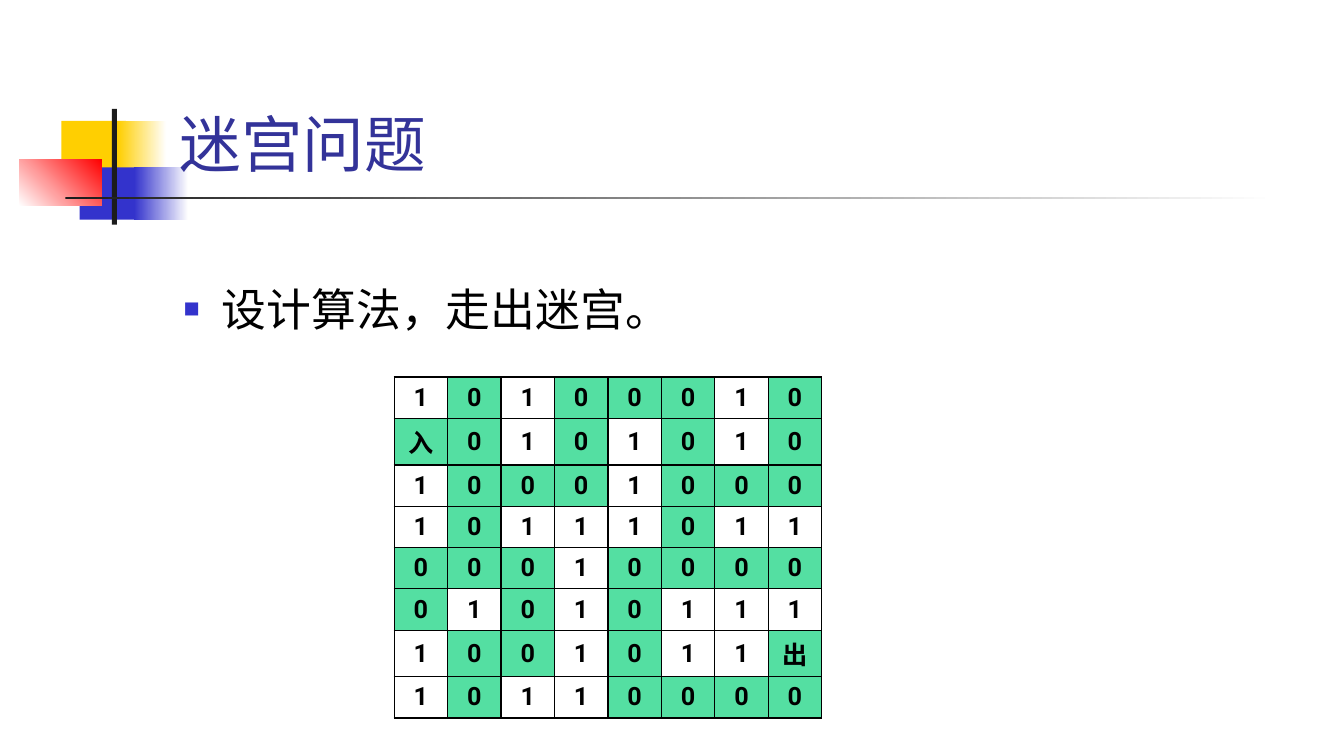
import dataclasses

import lxml.etree
import pptx
import pptx.dml.color
import pptx.enum.shapes
import pptx.enum.text
import pptx.oxml.ns
import pptx.util

Inches = pptx.util.Inches
Pt = pptx.util.Pt


@dataclasses.dataclass(frozen=True)
class Theme:
    yellow: str = "FFCF01"
    blue: str = "3333CC"
    red: str = "FF0000"
    white: str = "FFFFFF"
    dark: str = "1C1C1C"
    title: str = "333399"
    text: str = "000000"
    passage: str = "54DFA2"
    heading_font: str = "Roboto"
    body_font: str = "Courier New"
    title_size: int = 44
    body_size: int = 32
    cell_size: int = 18


THEME = Theme()

# Left, top, width, height, start colour, end colour, gradient angle
DECORATIONS = [
    (0.61, 1.2, 0.64, 0.52, THEME.yellow, None, 0),
    (1.17, 1.2, 0.48, 0.52, THEME.yellow, THEME.white, 0),
    (0.79, 1.66, 0.62, 0.52, THEME.blue, None, 0),
    (1.33, 1.66, 0.54, 0.52, THEME.blue, THEME.white, 0),
    (0.19, 1.58, 0.82, 0.46, THEME.white, THEME.red, 45),
    (1.11, 1.08, 0.05, 1.15, THEME.dark, None, 0),
    (0.65, 1.95, 12, 0.03, THEME.dark, THEME.white, 0),
]

# 1 is a wall; every other cell is open
MAZE = [
    "10100010",
    "入0101010",
    "10001000",
    "10111011",
    "00010000",
    "01010111",
    "1001011出",
    "10110000",
]
WALL = "1"


def rgb(value):
    return pptx.dml.color.RGBColor.from_string(value)


def add_xml(parent, tag, **attributes):
    return lxml.etree.SubElement(parent, pptx.oxml.ns.qn(tag), attributes)


def style_text(paragraph, font_name, size, color, bold=False):
    for span in paragraph.runs:
        span.font.name = font_name
        span.font.size = Pt(size)
        span.font.color.rgb = rgb(color)
        span.font.bold = bold


def add_block(slide, left, top, width, height, start, end, angle):
    block = slide.shapes.add_shape(
        pptx.enum.shapes.MSO_SHAPE.RECTANGLE,
        Inches(left), Inches(top), Inches(width), Inches(height))
    block.shadow.inherit = False
    block.line.fill.background()
    if end is None:
        block.fill.solid()
        block.fill.fore_color.rgb = rgb(start)
        return
    block.fill.gradient()
    block.fill.gradient_angle = angle
    for stop, color in zip(block.fill.gradient_stops, (start, end)):
        stop.color.rgb = rgb(color)


def fill_placeholder(slide, box, text, left, top, width, height, anchor):
    box.left, box.top = Inches(left), Inches(top)
    box.width, box.height = Inches(width), Inches(height)
    frame = box.text_frame
    frame.text = text
    frame.word_wrap = True
    frame.auto_size = pptx.enum.text.MSO_AUTO_SIZE.NONE
    frame.vertical_anchor = anchor
    # Bring the text in front of the decoration
    slide.shapes._spTree.append(box._element)
    para = frame.paragraphs[0]
    para.alignment = pptx.enum.text.PP_ALIGN.LEFT
    return para


def add_bullet(para):
    para.line_spacing = 2.0
    para.space_before = Pt(0.2 * THEME.body_size)
    properties = para._p.get_or_add_pPr()
    properties.set("marL", str(Inches(0.38)))
    properties.set("indent", str(Inches(-0.38)))
    color = add_xml(properties, "a:buClr")
    add_xml(color, "a:srgbClr", val=THEME.blue)
    add_xml(properties, "a:buSzPct", val="60000")
    add_xml(properties, "a:buChar", char="■")


def add_borders(cell):
    properties = cell._tc.get_or_add_tcPr()
    for side in ("a:lnL", "a:lnR", "a:lnT", "a:lnB"):
        line = add_xml(properties, side, w=str(Pt(1)))
        fill = add_xml(line, "a:solidFill")
        add_xml(fill, "a:srgbClr", val=THEME.text)


def style_cell(cell, mark):
    cell.text = mark
    cell.vertical_anchor = pptx.enum.text.MSO_ANCHOR.MIDDLE
    para = cell.text_frame.paragraphs[0]
    para.alignment = pptx.enum.text.PP_ALIGN.CENTER
    style_text(para, THEME.heading_font, THEME.cell_size, THEME.text, bold=True)
    add_borders(cell)
    if mark == WALL:
        cell.fill.background()
    else:
        cell.fill.solid()
        cell.fill.fore_color.rgb = rgb(THEME.passage)


def add_maze(slide, left, top, column_width, row_height):
    rows, columns = len(MAZE), len(MAZE[0])
    table = slide.shapes.add_table(
        rows, columns, Inches(left), Inches(top),
        Inches(columns * column_width), Inches(rows * row_height)).table
    table.first_row = False
    table.horz_banding = False
    for row, marks in enumerate(MAZE):
        for column, mark in enumerate(marks):
            style_cell(table.cell(row, column), mark)


def main():
    deck = pptx.Presentation()
    deck.slide_width, deck.slide_height = Inches(13.33), Inches(7.5)
    slide = deck.slides.add_slide(deck.slide_layouts[1])

    # Coloured blocks and rules around the title
    for decoration in DECORATIONS:
        add_block(slide, *decoration)

    # Title and task
    title = fill_placeholder(slide, slide.shapes.title, "迷宫问题",
                             1.68, 0.23, 10.42, 1.6,
                             pptx.enum.text.MSO_ANCHOR.BOTTOM)
    style_text(title, THEME.heading_font, THEME.title_size, THEME.title)
    task = fill_placeholder(slide, slide.placeholders[1], "设计算法，走出迷宫。",
                            1.72, 2.21, 10.38, 4.5,
                            pptx.enum.text.MSO_ANCHOR.TOP)
    style_text(task, THEME.body_font, THEME.body_size, THEME.text)
    add_bullet(task)

    # Maze grid
    add_maze(slide, 3.91, 3.74, 0.53, 0.41)

    deck.save("out.pptx")


main()
